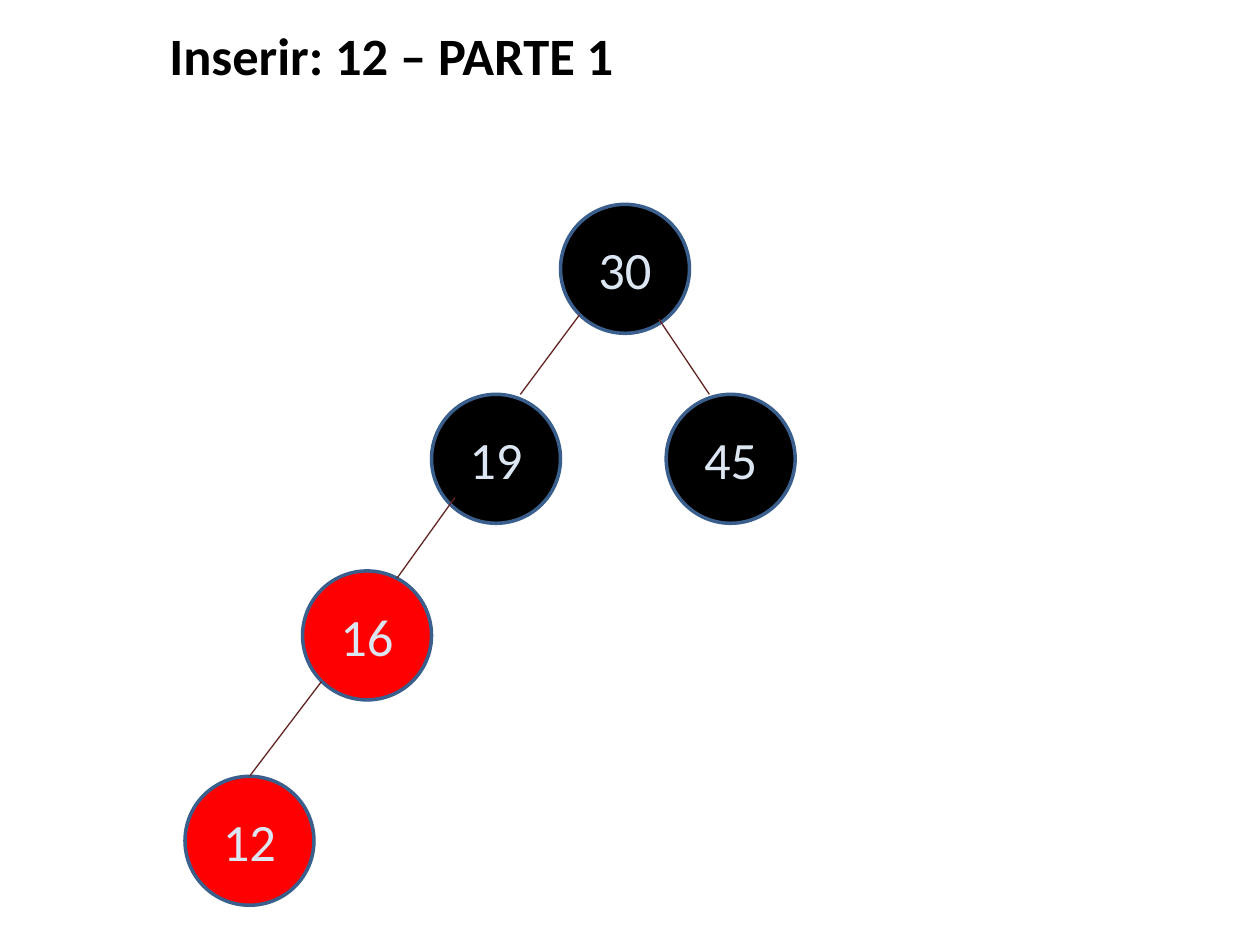
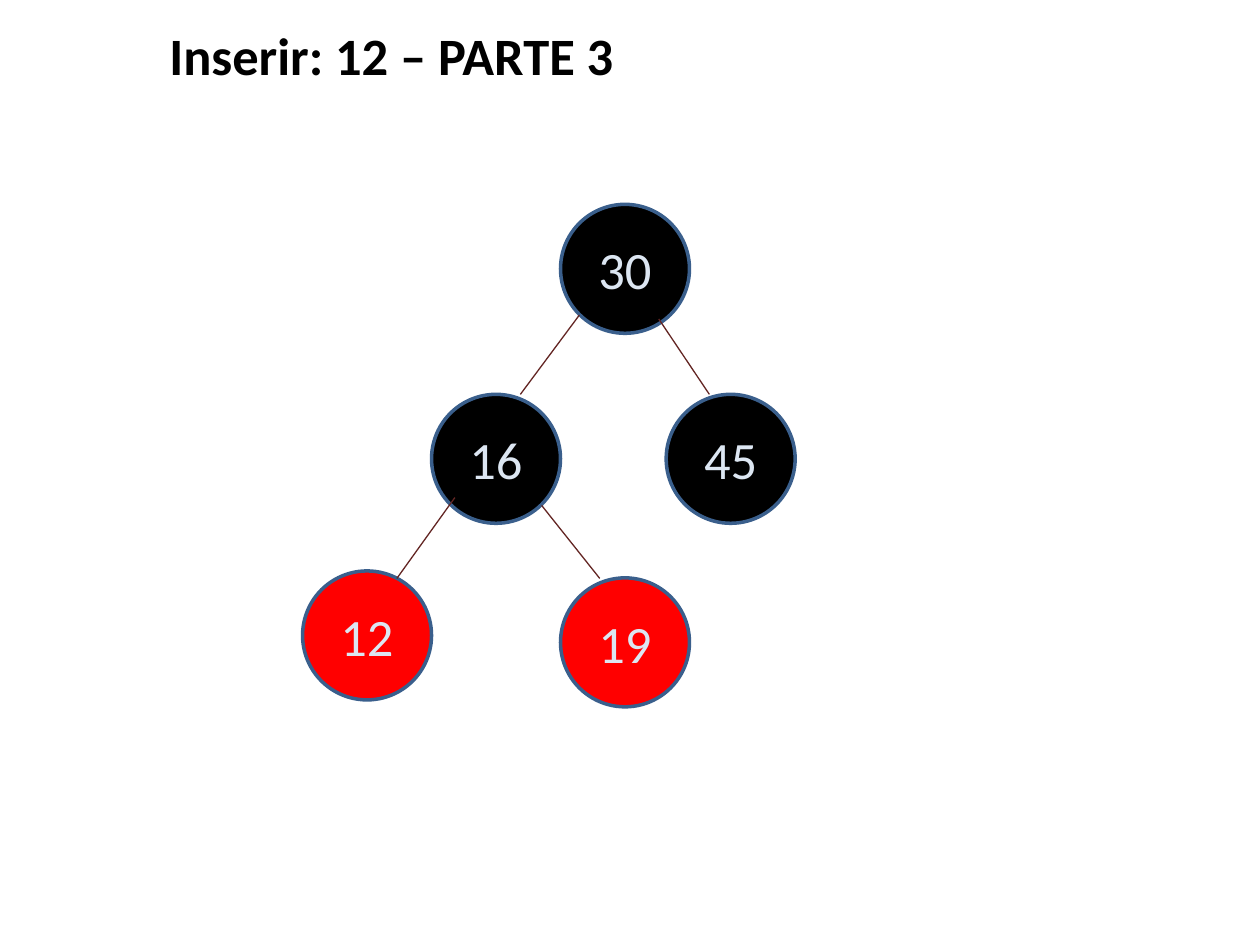
from collections import namedtuple

from lxml.etree import SubElement
from pptx import Presentation
from pptx.dml.color import RGBColor
from pptx.enum.shapes import MSO_CONNECTOR, MSO_SHAPE
from pptx.enum.text import MSO_ANCHOR, MSO_AUTO_SIZE, PP_ALIGN
from pptx.oxml.ns import qn
from pptx.util import Cm, Pt

COLOURS = {
    "black": "000000",
    "red": "FF0000",
    "outline": "3A5F8C",
    "branch": "632523",
    "value": "DCE6F2",
    "title": "000000",
}
TITLE_FONT = {"name": "Calibri", "size": Pt(30), "bold": True}
VALUE_FONT = {"name": "Calibri", "size": Pt(30), "bold": False}
TITLE_BOX = {"left": Cm(0.3), "top": Cm(0.33), "width": Cm(15.19), "height": Cm(1.8)}
TITLE_FRAME = {
    "word_wrap": True,
    "auto_size": MSO_AUTO_SIZE.NONE,
    "vertical_anchor": MSO_ANCHOR.TOP,
}
VALUE_FRAME = {
    "word_wrap": False,
    "vertical_anchor": MSO_ANCHOR.MIDDLE,
    "margin_left": 0,
    "margin_right": 0,
    "margin_top": 0,
    "margin_bottom": 0,
}
DIAMETER = 2.6

Slot = namedtuple("Slot", "colour centre branch joined", defaults=(None, False))
SLOTS = {
    "root": Slot("black", (12.6, 5.42)),
    "left": Slot("black", (10, 9.25), ((11.68, 6.35), (10.49, 7.95))),
    "right": Slot("black", (14.73, 9.25), ((13.28, 6.43), (14.3, 7.95))),
    "left_left": Slot("red", (7.4, 12.81), ((9.17, 10.03), (8, 11.66))),
    "left_right": Slot("red", (12.6, 12.95), ((10.92, 10.19), (12.09, 11.66))),
    "deepest": Slot("red", (5.03, 16.95), ((6.48, 13.74), (5.03, 15.65)), True),
}
STEPS = {
    "Inserir: 12 – PARTE 1": {
        "root": 30, "left": 19, "right": 45, "left_left": 16, "deepest": 12,
    },
    "Inserir: 12 – PARTE 3": {
        "root": 30, "left": 16, "right": 45, "left_left": 12, "left_right": 19,
    },
}


def colour(name):
    return RGBColor.from_string(COLOURS[name])


def apply_format(target, values):
    for name, value in values.items():
        setattr(target, name, value)


def write(frame, text, font, colour_name):
    para = frame.paragraphs[0]
    para.alignment = PP_ALIGN.CENTER
    span = para.add_run()
    span.text = text
    apply_format(span.font, font)
    span.font.color.rgb = colour(colour_name)


def add_title(page, text):
    box = page.shapes.title
    apply_format(box, TITLE_BOX)
    apply_format(box.text_frame, TITLE_FRAME)
    write(box.text_frame, text, TITLE_FONT, "title")


def add_node(page, slot, value):
    left, top = (Cm(middle - DIAMETER / 2) for middle in slot.centre)
    node = page.shapes.add_shape(
        MSO_SHAPE.OVAL, left, top, Cm(DIAMETER), Cm(DIAMETER)
    )
    node.shadow.inherit = False
    node.fill.solid()
    node.fill.fore_color.rgb = colour(slot.colour)
    node.line.color.rgb = colour("outline")
    node.line.width = Pt(2)
    apply_format(node.text_frame, VALUE_FRAME)
    write(node.text_frame, str(value), VALUE_FONT, "value")
    return node


def add_branch(page, slot, node):
    start, end = slot.branch
    branch = page.shapes.add_connector(
        MSO_CONNECTOR.STRAIGHT, *map(Cm, start), *map(Cm, end)
    )
    branch.line.color.rgb = colour("branch")
    branch.line.width = Pt(0.75)
    SubElement(branch._element.spPr, qn("a:effectLst"))
    if slot.joined:
        branch.end_connect(node, 0)


def add_tree(page, values):
    for name, value in values.items():
        slot = SLOTS[name]
        node = add_node(page, slot, value)
        if slot.branch:
            add_branch(page, slot, node)


def main():
    deck = Presentation()
    deck.slide_width, deck.slide_height = Cm(25.4), Cm(19.05)
    for title, values in STEPS.items():
        page = deck.slides.add_slide(deck.slide_layouts.get_by_name("Title Only"))
        add_title(page, title)
        add_tree(page, values)
    deck.save("out.pptx")


if __name__ == "__main__":
    main()
